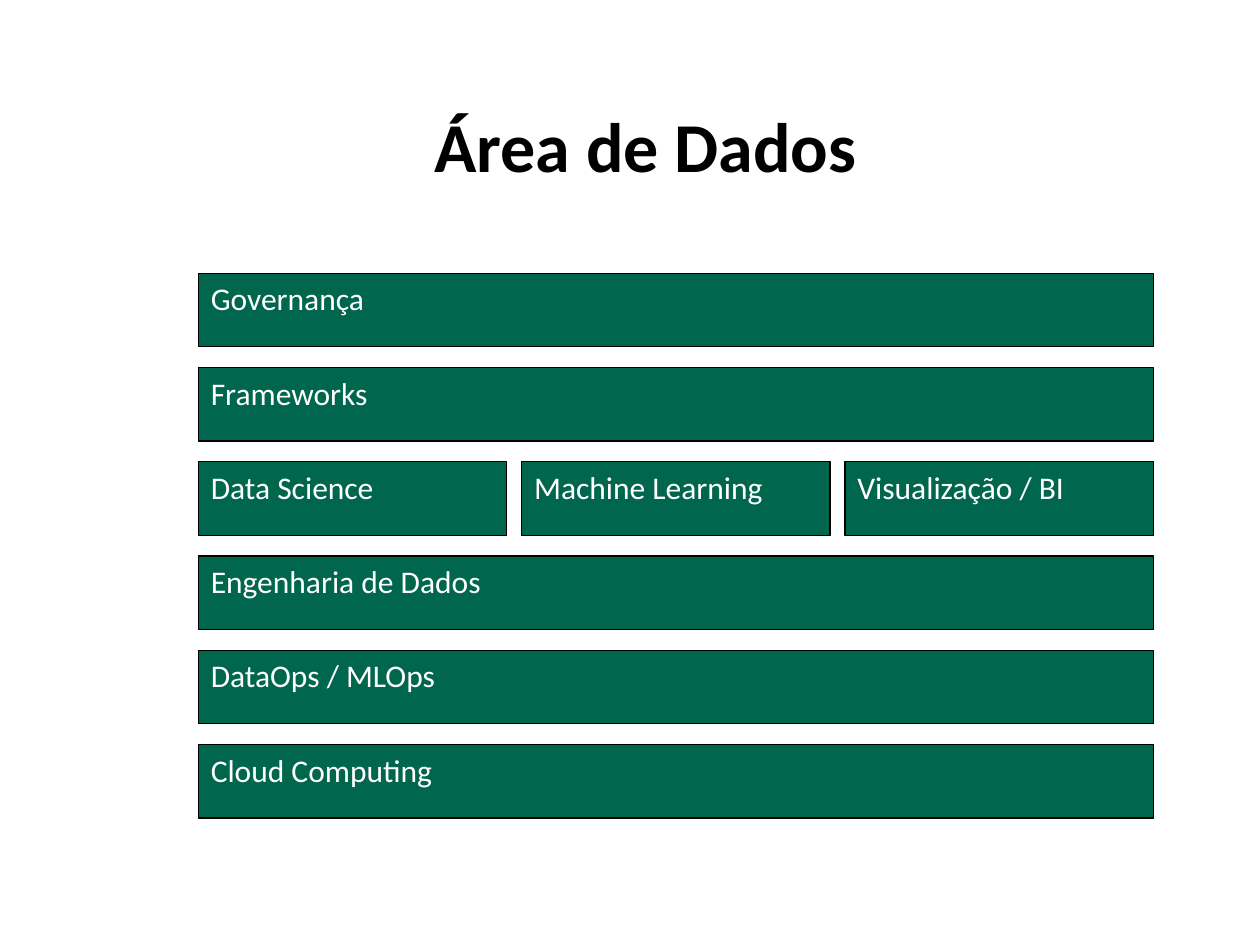
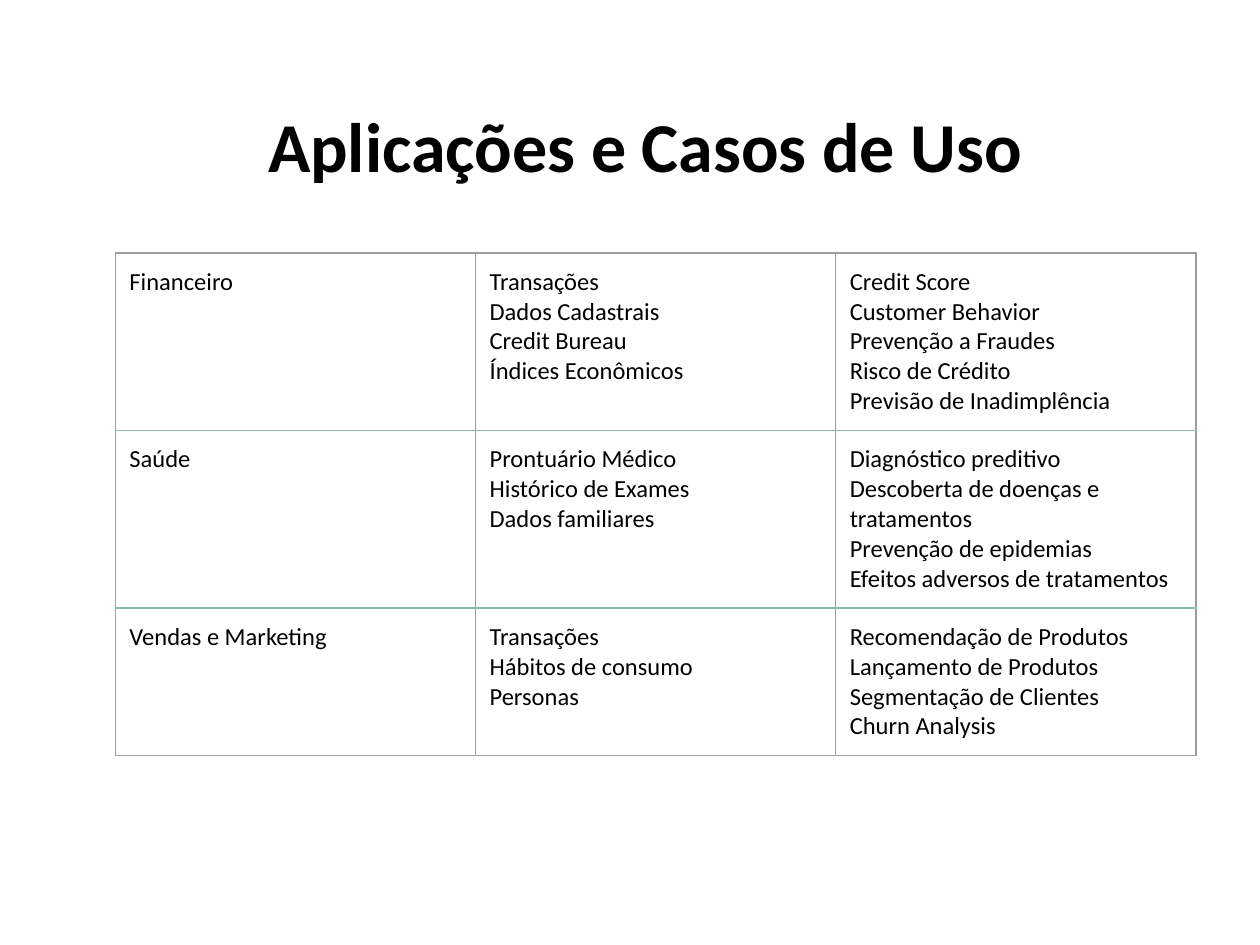
from lxml.etree import SubElement
from pptx import Presentation
from pptx.dml.color import RGBColor
from pptx.enum.shapes import MSO_SHAPE
from pptx.enum.text import MSO_ANCHOR, PP_ALIGN
from pptx.oxml.ns import qn
from pptx.util import Cm, Pt

LAYERS_TITLE = "Área de Dados"
LAYERS = [
    ["Governança"],
    ["Frameworks"],
    ["Data Science", "Machine Learning", "Visualização / BI"],
    ["Engenharia de Dados"],
    ["DataOps / MLOps"],
    ["Cloud Computing"],
]

CASES_TITLE = "Aplicações e Casos de Uso"
CASES = [
    (
        ["Financeiro"],
        ["Transações", "Dados Cadastrais", "Credit Bureau", "Índices Econômicos"],
        ["Credit Score", "Customer Behavior", "Prevenção a Fraudes",
         "Risco de Crédito", "Previsão de Inadimplência"],
    ),
    (
        ["Saúde"],
        ["Prontuário Médico", "Histórico de Exames", "Dados familiares"],
        ["Diagnóstico preditivo", "Descoberta de doenças e tratamentos",
         "Prevenção de epidemias", "Efeitos adversos de tratamentos"],
    ),
    (
        ["Vendas e Marketing"],
        ["Transações", "Hábitos de consumo", "Personas"],
        ["Recomendação de Produtos", "Lançamento de Produtos",
         "Segmentação de Clientes", "Churn Analysis"],
    ),
]

FONT = "Calibri"
BLACK = RGBColor(0x00, 0x00, 0x00)
WHITE = RGBColor(0xFF, 0xFF, 0xFF)
GREEN = RGBColor(0x00, 0x66, 0x4D)
TEAL = RGBColor(0x89, 0xBA, 0xB1)
GRAY = RGBColor(0x9E, 0x9E, 0x9E)

LAYER_LEFT, LAYER_TOP, LAYER_WIDTH, LAYER_HEIGHT = 4.0, 5.51, 19.25, 1.48
LAYER_PITCH, BLOCK_GAP = 1.9, 0.3
CASES_LEFT, CASES_TOP, CASE_COLUMN = 2.33, 5.1, 7.26
CASE_HEIGHTS = [3.58, 3.58, 2.97]
CELL_MARGIN = Cm(0.28)


def write(frame, lines, size, color, bold=False, align=PP_ALIGN.LEFT):
    frame.text = "\n".join(lines)
    for paragraph in frame.paragraphs:
        paragraph.alignment = align
        font = paragraph.font
        font.name, font.size, font.bold = FONT, Pt(size), bold
        font.color.rgb = color


def add_titled_slide(deck, title):
    slide = deck.slides.add_slide(deck.slide_layouts[6])
    frame = slide.shapes.add_textbox(Cm(1.9), Cm(1.9), Cm(22.22), Cm(2.03)).text_frame
    frame.word_wrap = True
    frame.vertical_anchor = MSO_ANCHOR.MIDDLE
    write(frame, [title], 40, BLACK, True, PP_ALIGN.CENTER)
    return slide


def add_block(slide, label, left, top, width):
    block = slide.shapes.add_shape(
        MSO_SHAPE.RECTANGLE, Cm(left), Cm(top), Cm(width), Cm(LAYER_HEIGHT))
    block.shadow.inherit = False
    block.fill.solid()
    block.fill.fore_color.rgb = GREEN
    block.line.color.rgb = BLACK
    block.line.width = Pt(0.75)
    block.text_frame.vertical_anchor = MSO_ANCHOR.TOP
    write(block.text_frame, [label], 18, WHITE)


def add_border(cell, side, color, width):
    line = SubElement(cell._tc.get_or_add_tcPr(), qn(f"a:ln{side}"), w=str(Pt(width)))
    SubElement(SubElement(line, qn("a:solidFill")), qn("a:srgbClr"), val=str(color))


def build_layers(deck):
    slide = add_titled_slide(deck, LAYERS_TITLE)
    for row, labels in enumerate(LAYERS):
        width = (LAYER_WIDTH - BLOCK_GAP * (len(labels) - 1)) / len(labels)
        for column, label in enumerate(labels):
            add_block(slide, label, LAYER_LEFT + column * (width + BLOCK_GAP),
                      LAYER_TOP + row * LAYER_PITCH, width)


def build_cases(deck):
    slide = add_titled_slide(deck, CASES_TITLE)
    columns = len(CASES[0])
    table = slide.shapes.add_table(
        len(CASES), columns, Cm(CASES_LEFT), Cm(CASES_TOP),
        Cm(CASE_COLUMN * columns), Cm(sum(CASE_HEIGHTS))).table
    table.first_row = table.horz_banding = False
    for column in table.columns:
        column.width = Cm(CASE_COLUMN)
    for row, (case, height) in enumerate(zip(CASES, CASE_HEIGHTS)):
        table.rows[row].height = Cm(height)
        above = (GRAY, 0.75) if row == 0 else (TEAL, 1)
        below = (GRAY, 0.75) if row == len(CASES) - 1 else (TEAL, 1)
        for column, lines in enumerate(case):
            cell = table.cell(row, column)
            cell.margin_left = cell.margin_right = CELL_MARGIN
            cell.margin_top = cell.margin_bottom = CELL_MARGIN
            for side in "LR":
                add_border(cell, side, GRAY, 0.75)
            add_border(cell, "T", *above)
            add_border(cell, "B", *below)
            cell.fill.background()
            write(cell.text_frame, lines, 14, BLACK)


def main():
    deck = Presentation()
    deck.slide_width, deck.slide_height = Cm(25.4), Cm(19.05)
    build_layers(deck)
    build_cases(deck)
    deck.save("out.pptx")


if __name__ == "__main__":
    main()
